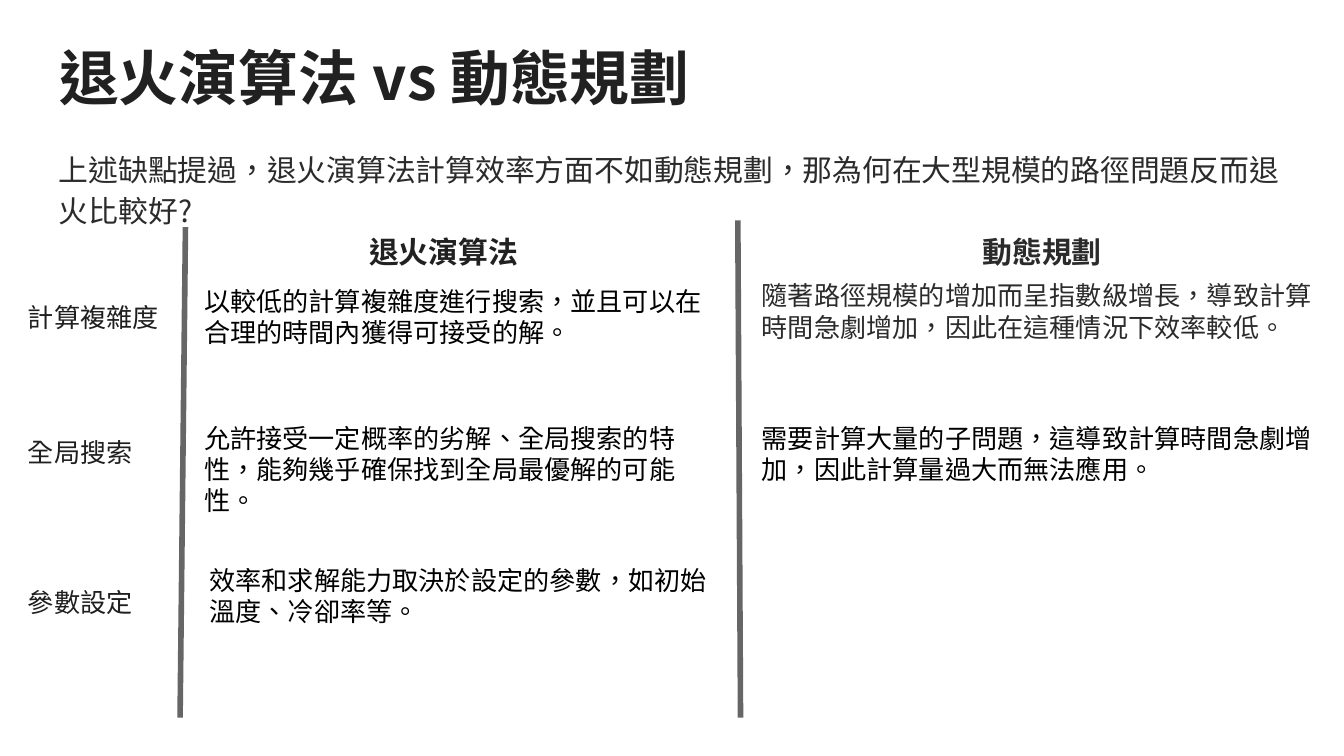
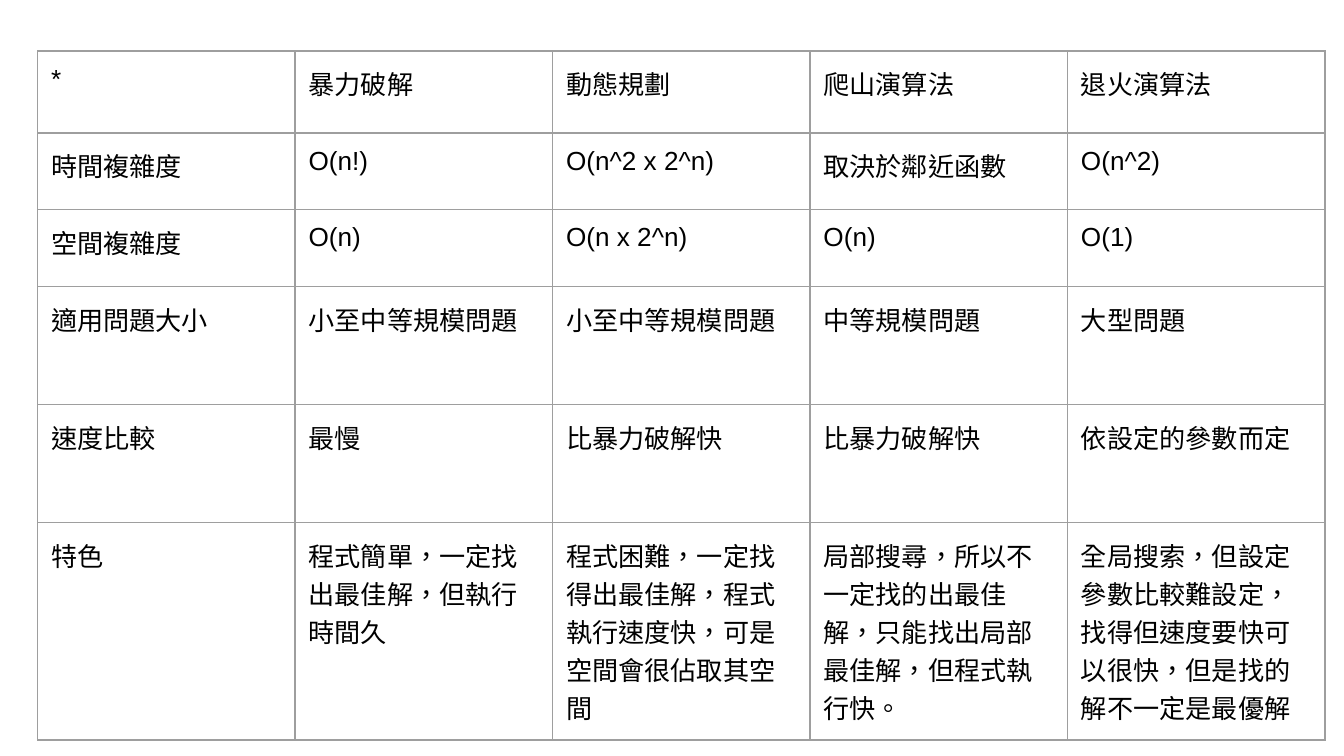
"""Build two slides that compare simulated annealing with other search algorithms."""
from dataclasses import dataclass

from lxml import etree
from pptx import Presentation, util as u
from pptx.dml.color import RGBColor
from pptx.enum import lang, shapes, text
from pptx.oxml.ns import qn


@dataclass(frozen=True)
class Theme:
    title_color: str = "212121"
    body_color: str = "2B2B2B"
    label_color: str = "1F1F1F"
    black: str = "000000"
    divider_color: str = "666666"
    border_color: str = "9E9E9E"
    title_size: int = 32
    heading_size: int = 16
    text_size: int = 14
    divider_width: float = 3
    border_width: float = 0.75
    inset: float = 0.1
    title_font: str = "Lato"
    chinese_font: str = "Noto Sans CJK TC"
    mono_font: str = "Noto Sans Mono"
    text_font: str = "Roboto"
    table_font: str = "Arial"


class Deck:
    def __init__(self, theme):
        self.theme = theme
        self.presentation = Presentation()
        self.presentation.slide_width = u.Inches(10)
        self.presentation.slide_height = u.Inches(10 * 9 / 16)
        self.slide = None

    def add_slide(self, layout_name):
        layout = self.presentation.slide_layouts.get_by_name(layout_name)
        self.slide = self.presentation.slides.add_slide(layout)

    def add_run(self, paragraph, wording, font, size, color, bold=False, asian_font=None):
        paragraph._p.get_or_add_pPr().set("hangingPunct", "0")
        run = paragraph.add_run()
        run.text = wording
        run.font.language_id = lang.MSO_LANGUAGE_ID.TRADITIONAL_CHINESE
        run.font.size = u.Pt(size)
        run.font.bold = bold
        run.font.color.rgb = RGBColor.from_string(color)
        run.font.name = font
        asian = etree.SubElement(run.font._element, qn("a:ea"))
        asian.set("typeface", asian_font or font)

    def prepare_frame(self, frame):
        inset = u.Inches(self.theme.inset)
        frame.margin_left = frame.margin_right = inset
        frame.margin_top = frame.margin_bottom = inset
        frame.word_wrap = True
        frame.auto_size = text.MSO_AUTO_SIZE.NONE
        frame.vertical_anchor = text.MSO_ANCHOR.TOP
        return frame.paragraphs[0]

    def add_title(self, box, runs):
        theme = self.theme
        title = self.slide.shapes.title
        title.left, title.top, title.width, title.height = map(u.Inches, box)
        paragraph = self.prepare_frame(title.text_frame)
        paragraph.alignment = text.PP_ALIGN.LEFT
        for wording, font in runs:
            self.add_run(paragraph, wording, font, theme.title_size,
                         theme.title_color, True, theme.title_font)

    def add_text(self, box, wording, font, size, color, bold=False,
                 centered=False, asian_font=None):
        shape = self.slide.shapes.add_textbox(*map(u.Inches, box))
        paragraph = self.prepare_frame(shape.text_frame)
        paragraph.alignment = text.PP_ALIGN.CENTER if centered else text.PP_ALIGN.LEFT
        self.add_run(paragraph, wording, font, size, color, bold, asian_font)
        return paragraph

    def add_divider(self, start, end):
        line = self.slide.shapes.add_connector(
            shapes.MSO_CONNECTOR.STRAIGHT, *map(u.Inches, start + end))
        line.line.color.rgb = RGBColor.from_string(self.theme.divider_color)
        line.line.width = u.Pt(self.theme.divider_width)
        etree.SubElement(line._element.spPr, qn("a:effectLst"))

    def add_borders(self, cell):
        properties = cell._tc.get_or_add_tcPr()
        for side in ("lnL", "lnR", "lnT", "lnB"):
            border = etree.SubElement(properties, qn(f"a:{side}"))
            border.set("w", str(u.Pt(self.theme.border_width)))
            fill = etree.SubElement(border, qn("a:solidFill"))
            etree.SubElement(fill, qn("a:srgbClr")).set("val", self.theme.border_color)

    def add_table(self, left, top, width, row_heights, rows):
        theme = self.theme
        count = len(rows[0])
        frame = self.slide.shapes.add_table(
            len(rows), count, u.Inches(left), u.Inches(top),
            u.Inches(width), u.Inches(sum(row_heights)))
        table = frame.table
        table.first_row = table.horz_banding = False
        for column in table.columns:
            column.width = u.Inches(width / count)
        for row, height, wordings in zip(table.rows, row_heights, rows):
            row.height = u.Inches(height)
            for cell, wording in zip(row.cells, wordings):
                inset = u.Inches(theme.inset)
                cell.margin_left = cell.margin_right = inset
                cell.margin_top = cell.margin_bottom = inset
                self.add_borders(cell)
                cell.fill.background()
                self.add_run(cell.text_frame.paragraphs[0], wording, theme.table_font,
                             theme.text_size, theme.black, asian_font=theme.chinese_font)


def build_comparison(deck):
    theme = deck.theme
    deck.add_slide("Title Only")
    deck.add_title((0.34, 0.2, 9.32, 0.88), [
        ("退火演算法 ", theme.title_font), ("vs 動態規劃", theme.chinese_font)])
    question = deck.add_text(
        (0.34, 0.99, 9.32, 0.8),
        "上述缺點提過，退火演算法計算效率方面不如動態規劃，那為何在大型規模的路徑問題反而退火比較好?",
        theme.chinese_font, theme.heading_size, theme.body_color,
        asian_font=theme.title_font)
    question.line_spacing = 1.15
    question.space_after = u.Pt(12)

    deck.add_divider((5.49, 1.64), (5.51, 5.34))
    deck.add_divider((1.38, 1.69), (1.34, 5.34))

    headings = [
        (1.38, 3.84, "退火演算法", theme.title_color),
        (5.64, 4.23, "動態規劃", theme.body_color),
    ]
    for left, width, wording, color in headings:
        deck.add_text((left, 1.64, width, 0.5), wording, theme.mono_font,
                      theme.heading_size, color, True, True, theme.text_font)

    labels = [(2.14, "計算複雜度"), (3.15, "全局搜索"), (4.26, "參數設定")]
    for top, wording in labels:
        deck.add_text((0.11, top, 1.2, 0.42), wording, theme.text_font,
                      theme.text_size, theme.label_color)

    deck.add_text((5.57, 1.98, 4.33, 0.88),
                  "隨著路徑規模的增加而呈指數級增長，導致計算時間急劇增加，因此在這種情況下效率較低。",
                  theme.mono_font, theme.text_size, theme.body_color,
                  asian_font=theme.text_font)
    statements = [
        ((1.42, 2.02, 3.93, 0.8), "以較低的計算複雜度進行搜索，並且可以在合理的時間內獲得可接受的解。"),
        ((1.42, 3.04, 3.93, 0.74), "允許接受一定概率的劣解、全局搜索的特性，能夠幾乎確保找到全局最優解的可能性。"),
        ((5.57, 3.04, 4.33, 0.63), "需要計算大量的子問題，這導致計算時間急劇增加，因此計算量過大而無法應用。"),
        ((1.46, 4.1, 3.93, 0.74), "效率和求解能力取決於設定的參數，如初始溫度、冷卻率等。"),
    ]
    for box, wording in statements:
        deck.add_text(box, wording, theme.text_font, theme.text_size, theme.black)


def build_summary(deck):
    deck.add_slide("Blank")
    deck.add_table(0.28, 0.38, 9.58, [0.61, 0.57, 0.57, 0.88, 0.88, 0.88], [
        ["*", "暴力破解", "動態規劃", "爬山演算法", "退火演算法"],
        ["時間複雜度", "O(n!)", "O(n^2 x 2^n)", "取決於鄰近函數", "O(n^2)"],
        ["空間複雜度", "O(n)", "O(n x 2^n)", "O(n)", "O(1)"],
        ["適用問題大小", "小至中等規模問題", "小至中等規模問題", "中等規模問題", "大型問題"],
        ["速度比較", "最慢", "比暴力破解快", "比暴力破解快", "依設定的參數而定"],
        ["特色",
         "程式簡單，一定找出最佳解，但執行時間久",
         "程式困難，一定找得出最佳解，程式執行速度快，可是空間會很佔取其空間",
         "局部搜尋，所以不一定找的出最佳解，只能找出局部最佳解，但程式執行快。",
         "全局搜索，但設定參數比較難設定，找得但速度要快可以很快，但是找的解不一定是最優解"],
    ])


def main():
    deck = Deck(Theme())
    build_comparison(deck)
    build_summary(deck)
    deck.presentation.save("out.pptx")


if __name__ == "__main__":
    main()
